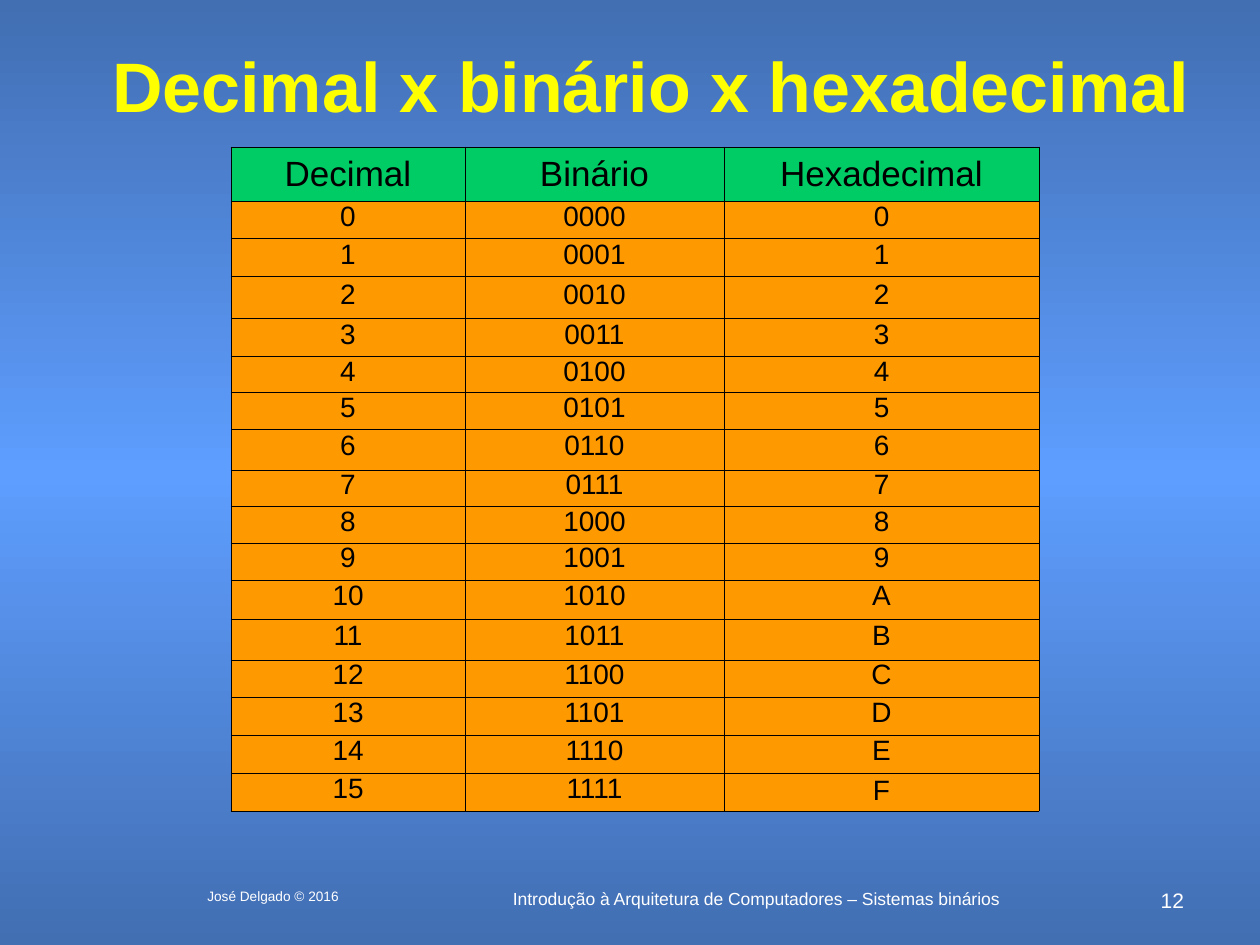
from copy import deepcopy
from dataclasses import dataclass

from lxml import etree
from pptx import Presentation, util as u
from pptx.dml.color import RGBColor
from pptx.enum import text
from pptx.oxml.ns import qn

PX_PER_INCH = 126
BLACK, WHITE, YELLOW = "000000", "FFFFFF", "FFFF00"
GREEN, ORANGE = "00CC66", "FF9900"
DEEP_BLUE, LIGHT_BLUE = "426EB2", "5E9EFF"

HEADERS = ("Decimal", "Binário", "Hexadecimal")
COLUMN_WIDTHS = (234, 259, 315)
ROW_HEIGHTS = (54, 37, 38, 42, 38, 36, 36, 41, 37, 36, 37, 39, 41, 37, 38, 38, 38)


@dataclass
class Label:
    content: str
    left: int
    top: int
    width: int
    height: int
    size: float
    align: text.PP_ALIGN = text.PP_ALIGN.CENTER
    anchor: text.MSO_ANCHOR = text.MSO_ANCHOR.TOP
    color: str = WHITE
    bold: bool = False
    inset: tuple = (13, 6)


LABELS = (
    Label("Introdução à Arquitetura de Computadores – Sistemas binários",
          420, 882, 672, 32, 10),
    Label("12", 1144, 882, 53, 21, 12, align=text.PP_ALIGN.RIGHT),
    Label("José Delgado © 2016", 168, 882, 210, 32, 7.8),
    Label("Decimal x binário x hexadecimal", 94, 42, 1113, 84, 40,
          anchor=text.MSO_ANCHOR.MIDDLE, color=YELLOW, bold=True, inset=(0, 0)),
)


def px(length: int) -> u.Emu:
    return u.Emu(round(length * 914400 / PX_PER_INCH))


def rgb(code: str) -> RGBColor:
    return RGBColor.from_string(code)


def write(frame, content: str, *, size: float, color: str = BLACK,
          bold: bool = False, align=text.PP_ALIGN.CENTER,
          line_spacing: float | None = None) -> None:
    para = frame.paragraphs[0]
    para.alignment = align
    if line_spacing:
        para.line_spacing = line_spacing
    span = para.add_run()
    span.text = content
    span.font.name = "Arial"
    span.font.size = u.Pt(size)
    span.font.bold = bold
    span.font.color.rgb = rgb(color)


def paint_background(page) -> None:
    fill = page.background.fill
    fill.gradient()
    fill.gradient_angle = 270
    stop_list = page.element.find(".//" + qn("a:gsLst"))
    stop_list.append(deepcopy(stop_list[0]))
    colors = (DEEP_BLUE, LIGHT_BLUE, DEEP_BLUE)
    for stop, color, position in zip(fill.gradient_stops, colors, (0, 0.5, 1)):
        stop.color.rgb = rgb(color)
        stop.position = position


def add_label(page, label: Label) -> None:
    box = page.shapes.add_textbox(
        px(label.left), px(label.top), px(label.width), px(label.height))
    frame = box.text_frame
    frame.word_wrap = True
    frame.vertical_anchor = label.anchor
    frame.margin_left = frame.margin_right = px(label.inset[0])
    frame.margin_top = frame.margin_bottom = px(label.inset[1])
    write(frame, label.content, size=label.size, color=label.color,
          bold=label.bold, align=label.align)


def outline_cell(cell, color: str, width: float) -> None:
    properties = cell._tc.get_or_add_tcPr()
    for index, side in enumerate(("a:lnL", "a:lnR", "a:lnT", "a:lnB")):
        line = etree.Element(qn(side), w=str(u.Pt(width)))
        fill = etree.SubElement(line, qn("a:solidFill"))
        etree.SubElement(fill, qn("a:srgbClr"), val=color)
        properties.insert(index, line)


def add_number_table(page) -> None:
    rows = [HEADERS] + [(str(n), f"{n:04b}", f"{n:X}") for n in range(16)]
    table = page.shapes.add_table(
        len(rows), len(HEADERS), px(231), px(147),
        px(sum(COLUMN_WIDTHS)), px(sum(ROW_HEIGHTS))).table
    table.first_row = table.horz_banding = False
    for column, width in zip(table.columns, COLUMN_WIDTHS):
        column.width = px(width)
    for row, height in zip(table.rows, ROW_HEIGHTS):
        row.height = px(height)
    for r, values in enumerate(rows):
        header = r == 0
        for c, value in enumerate(values):
            cell = table.cell(r, c)
            cell.vertical_anchor = text.MSO_ANCHOR.MIDDLE
            cell.margin_left = cell.margin_right = u.Inches(0.1)
            cell.margin_top = cell.margin_bottom = u.Inches(0.05)
            cell.fill.solid()
            cell.fill.fore_color.rgb = rgb(GREEN if header else ORANGE)
            outline_cell(cell, BLACK, 0.45)
            write(cell.text_frame, value, size=20 if header else 16,
                  line_spacing=None if header else 0.7)
    table.cell(len(rows) - 1, 2).vertical_anchor = text.MSO_ANCHOR.BOTTOM


def main() -> None:
    deck = Presentation()
    deck.slide_width, deck.slide_height = px(1260), px(945)
    page = deck.slides.add_slide(deck.slide_layouts[6])
    paint_background(page)
    for label in LABELS:
        add_label(page, label)
    add_number_table(page)
    deck.save("out.pptx")


if __name__ == "__main__":
    main()
